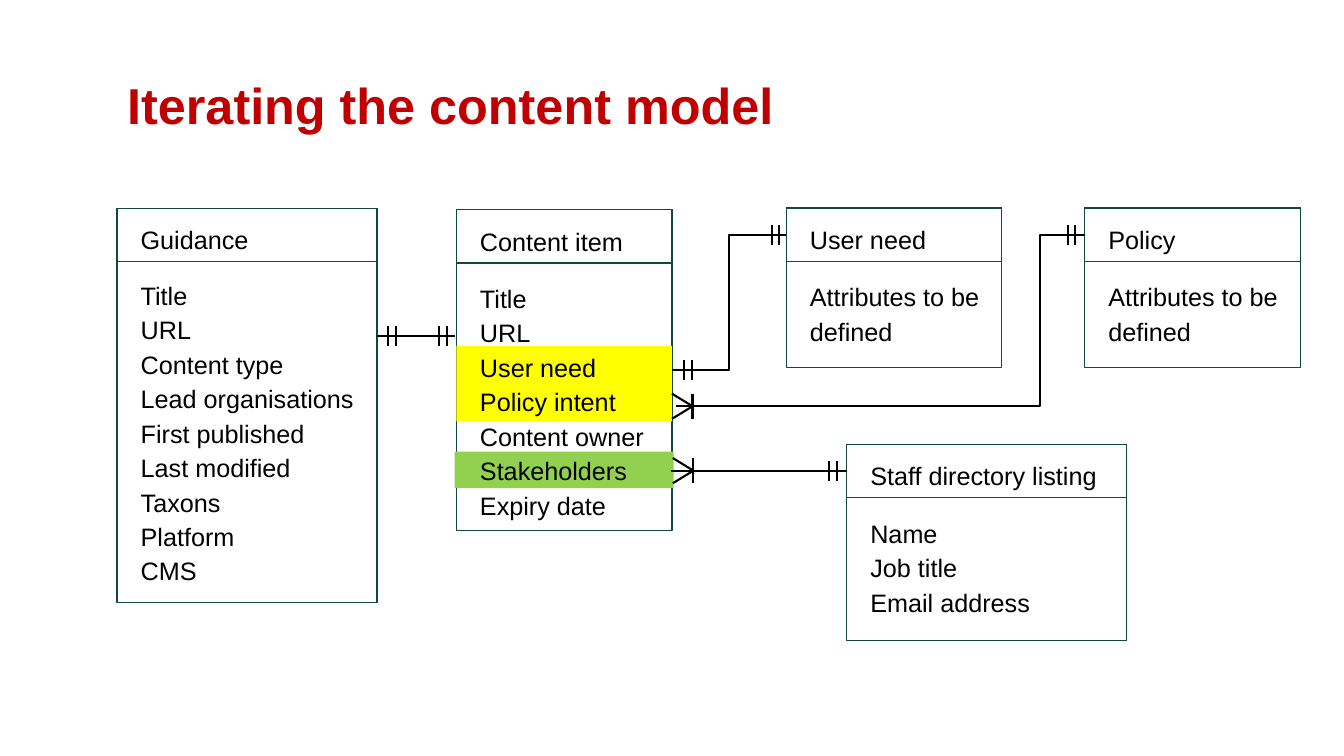
from dataclasses import dataclass

from lxml import etree
from pptx import Presentation
from pptx.dml.color import RGBColor
from pptx.enum.shapes import MSO_CONNECTOR as Connector, MSO_SHAPE as Shape
from pptx.enum.text import MSO_ANCHOR as Anchor, PP_ALIGN as Align
from pptx.oxml.ns import qn
from pptx.util import Pt


@dataclass(frozen=True)
class Theme:
    font: str = "Arial"
    title_size: int = 36
    text_size: int = 18
    title: RGBColor = RGBColor(0xC0, 0x00, 0x00)
    ink: RGBColor = RGBColor(0x00, 0x00, 0x00)
    border: RGBColor = RGBColor(0x12, 0x47, 0x42)
    yellow: RGBColor = RGBColor(0xFF, 0xFF, 0x00)
    green: RGBColor = RGBColor(0x92, 0xD0, 0x50)


@dataclass(frozen=True)
class Box:
    left: float
    top: float
    width: float
    height: float

    def lengths(self):
        return Pt(self.left), Pt(self.top), Pt(self.width), Pt(self.height)


THEME = Theme()
HEADER_HEIGHT = 38
TEXT_INDENT = 9.8


def style_text(frame, size, color, spacing, bold=False):
    for paragraph in frame.paragraphs:
        paragraph.alignment = Align.LEFT
        paragraph.line_spacing = spacing
        for run in paragraph.runs:
            run.font.name = THEME.font
            run.font.size = Pt(size)
            run.font.bold = bold
            run.font.color.rgb = color


def add_title(slide, box, text):
    title = slide.shapes.title
    title.left, title.top, title.width, title.height = box.lengths()
    title.text_frame.text = text
    title.text_frame.vertical_anchor = Anchor.MIDDLE
    style_text(title.text_frame, THEME.title_size, THEME.title, 0.9, bold=True)


def add_text(slide, box, lines):
    frame = slide.shapes.add_textbox(*box.lengths()).text_frame
    frame.word_wrap = True
    frame.text = "\n".join(lines)
    style_text(frame, THEME.text_size, THEME.ink, 1.14)


def add_rectangle(slide, box, fill=None):
    """Draw a filled band, or an outlined frame when no fill is given."""
    rectangle = slide.shapes.add_shape(Shape.RECTANGLE, *box.lengths())
    rectangle.shadow.inherit = False
    if fill is None:
        rectangle.fill.background()
        rectangle.line.color.rgb = THEME.border
        rectangle.line.width = Pt(1)
    else:
        rectangle.fill.solid()
        rectangle.fill.fore_color.rgb = fill
        rectangle.line.fill.background()


def add_entity(slide, box, name, attributes, text_width, body_offset=46, bands=()):
    """Draw an entity; bands are (box, colour) highlights behind its attributes."""
    add_rectangle(slide, box)
    add_rectangle(slide, Box(box.left, box.top, box.width, HEADER_HEIGHT))
    text_left = box.left + TEXT_INDENT
    add_text(slide, Box(text_left, box.top + 5, text_width, 30), [name])
    for band, color in bands:
        add_rectangle(slide, band, color)
    body_height = box.height - body_offset - 6
    add_text(slide, Box(text_left, box.top + body_offset, text_width, body_height), attributes)


def add_line(slide, start, end, kind=Connector.STRAIGHT, bend=None):
    """Connect two points; bend is the share of the width before an elbow turns."""
    points = [Pt(value) for value in (*start, *end)]
    line = slide.shapes.add_connector(kind, *points)
    line.line.color.rgb = THEME.ink
    line.line.width = Pt(1.5)
    properties = line._element.spPr
    etree.SubElement(properties, qn("a:effectLst"))
    if bend is not None:
        guides = properties.find(qn("a:prstGeom")).find(qn("a:avLst"))
        etree.SubElement(guides, qn("a:gd"), name="adj1", fmla=f"val {round(bend * 100000)}")


def add_one_end(slide, edge, y, offset):
    """Mark 'exactly one': two ticks, the first at offset from the entity edge."""
    second = offset + (5.4 if offset > 0 else -5.4)
    for x in (edge + offset, edge + second):
        add_line(slide, (x, y - 7.2), (x, y + 7.2))


def add_many_end(slide, edge, y):
    """Mark 'one or many': a crow's foot opening towards the entity edge."""
    tip = edge + 14.7
    for spread in (-9, 9):
        add_line(slide, (tip, y), (edge, y + spread))
    add_line(slide, (tip, y - 9), (tip, y + 9))


def add_relations(slide, guidance, item, user_need, policy, staff):
    item_right = item.left + item.width
    guidance_right = guidance.left + guidance.width
    header_y = user_need.top + 19.2

    guidance_y = 239.8
    add_line(slide, (guidance_right, guidance_y), (item.left - 1.3, guidance_y))
    add_one_end(slide, guidance_right, guidance_y, 8)
    add_one_end(slide, item.left, guidance_y, -7)

    need_y = 264.2
    add_line(slide, (item_right, need_y), (user_need.left, header_y), Connector.ELBOW, 0.5)
    add_one_end(slide, item_right, need_y, 8.8)
    add_one_end(slide, user_need.left, header_y, -5)

    policy_y = 290.2
    add_line(slide, (item_right + 3, policy_y), (policy.left, header_y), Connector.ELBOW, 0.89)
    add_one_end(slide, policy.left, header_y, -6.8)
    add_many_end(slide, item_right, policy_y)

    staff_y = 336.2
    add_line(slide, (item_right - 0.5, staff_y), (staff.left, staff_y))
    add_one_end(slide, staff.left, staff_y, -7)
    add_many_end(slide, item_right + 0.6, staff_y)


def add_content_model(slide):
    guidance = Box(83.6, 149, 185.7, 281.3)
    item = Box(326, 149.8, 154, 229)
    user_need = Box(561.6, 148.6, 154, 114)
    policy = Box(774.8, 148.6, 154, 114)
    staff = Box(604.8, 317.5, 200, 140)
    bands = [
        (Box(item.left, 247, item.width, 54), THEME.yellow),
        (Box(item.left - 1.2, 322.6, item.width + 2.4, 26), THEME.green),
    ]
    add_entity(slide, guidance, "Guidance", [
        "Title", "URL", "Content type", "Lead organisations", "First published",
        "Last modified", "Taxons", "Platform", "CMS",
    ], 184, body_offset=44.6)
    add_entity(slide, item, "Content item", [
        "Title", "URL", "User need", "Policy intent", "Content owner",
        "Stakeholders", "Expiry date",
    ], 144, bands=bands)
    for box, name in ((user_need, "User need"), (policy, "Policy")):
        add_entity(slide, box, name, ["Attributes to be defined"], 144)
    add_entity(slide, staff, "Staff directory listing",
               ["Name", "Job title", "Email address"], 183)
    add_relations(slide, guidance, item, user_need, policy, staff)


def main():
    presentation = Presentation()
    presentation.slide_width, presentation.slide_height = Pt(960), Pt(540)
    slide = presentation.slides.add_slide(presentation.slide_layouts[5])
    add_title(slide, Box(83.6, 38, 828, 78.5), "Iterating the content model")
    add_content_model(slide)
    presentation.save("out.pptx")


if __name__ == "__main__":
    main()
